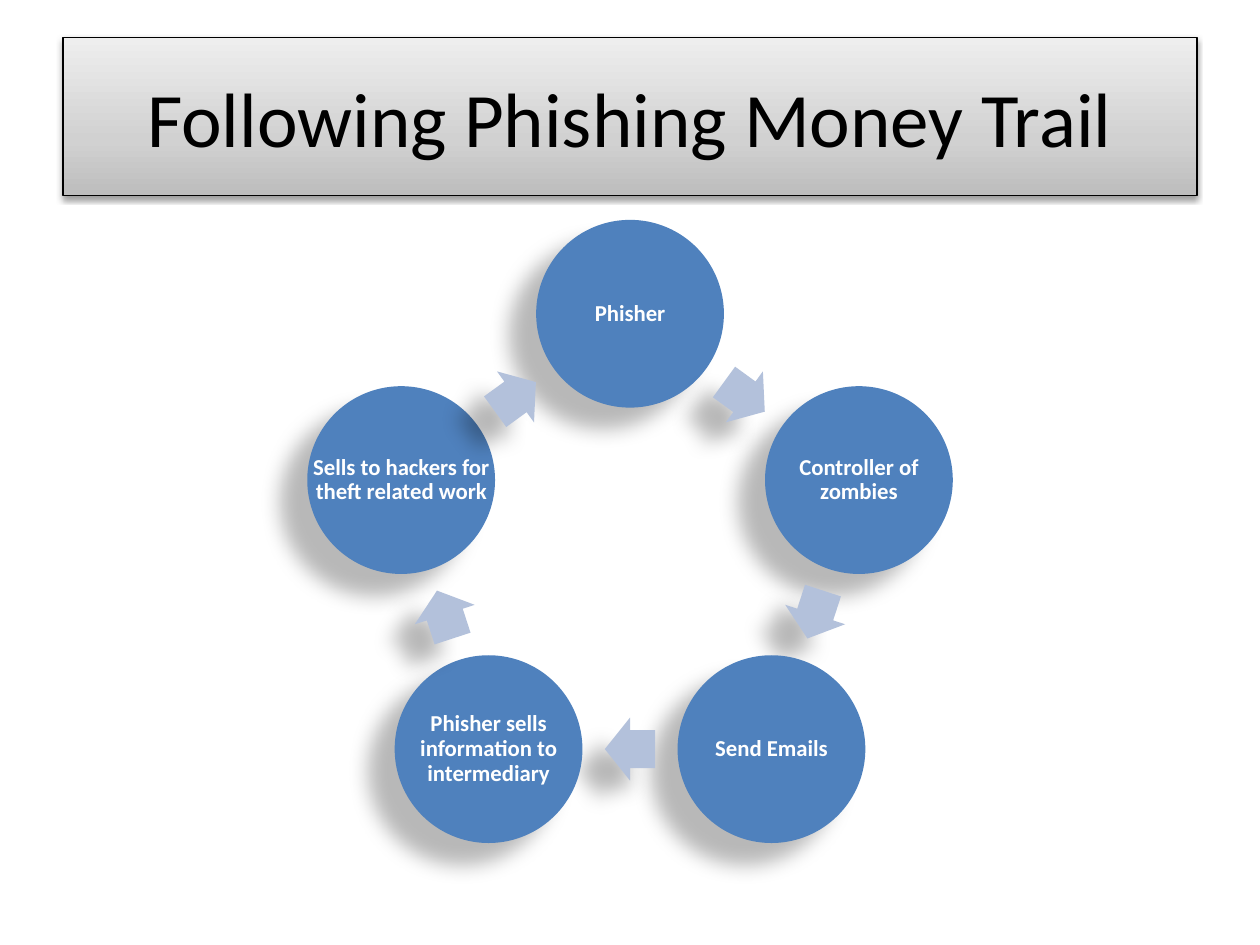
from copy import deepcopy
from math import cos, radians, sin

from lxml.etree import SubElement
from pptx import Presentation
from pptx.dml.color import RGBColor
from pptx.enum.shapes import MSO_SHAPE
from pptx.enum.text import MSO_ANCHOR, PP_ALIGN
from pptx.oxml.ns import qn
from pptx.util import Inches, Pt

TITLE = "Following Phishing Money Trail"
STAGES = [
    "Phisher",
    "Controller of zombies",
    "Send Emails",
    "Phisher sells information to intermediary",
    "Sells to hackers for theft related work",
]
COLORS = {"ink": "000000", "paper": "FFFFFF", "stage": "4F81BD", "arrow": "B3C1DB"}
TITLE_GRADIENT = [(0, "BDBDBD"), (35, "D1D1D1"), (100, "EEEEEE")]
TITLE_SHADOW = {"alpha": 38, "blur": 3.1, "distance": 1.6, "angle": 90}
CYCLE_SHADOW = {"alpha": 28, "blur": 11.8, "distance": 19.7, "angle": 141}

WIDTH, HEIGHT = 10, 7.5
MARGIN = WIDTH * 0.05
TITLE_TOP, TITLE_HEIGHT = HEIGHT * 0.04, HEIGHT / 6
CENTER_X, CENTER_Y, RADIUS = WIDTH / 2, 4.4, 1.91
STAGE_SIZE = 1.49
ARROW_LENGTH, ARROW_BREADTH = 0.4, 0.5


def box_around(x, y, width, height):
    """Return left, top, width and height of a box centred on x, y."""
    return [Inches(n) for n in (x - width / 2, y - height / 2, width, height)]


def ring_point(step):
    """Return the point reached after step stages, clockwise from the top."""
    angle = radians(step * 360 / len(STAGES))
    return CENTER_X + RADIUS * sin(angle), CENTER_Y - RADIUS * cos(angle)


def add_shadow(shape, alpha, blur, distance, angle):
    """Give the shape a soft black outer shadow."""
    shape.shadow.inherit = False
    effects = shape._element.spPr.find(qn("a:effectLst"))
    outer = SubElement(effects, qn("a:outerShdw"), blurRad=str(Pt(blur)),
                       dist=str(Pt(distance)), dir=str(angle * 60000),
                       algn="ctr", rotWithShape="0")
    color = SubElement(outer, qn("a:srgbClr"), val=COLORS["ink"])
    SubElement(color, qn("a:alpha"), val=str(alpha * 1000))


def fill_gradient(shape, stops):
    """Fill the shape with a vertical gradient, first stop at the bottom."""
    shape.fill.gradient()
    shape.fill.gradient_angle = 90
    stop_list = shape._element.spPr.find(qn("a:gradFill")).find(qn("a:gsLst"))
    for _ in stops[len(stop_list):]:
        stop_list.append(deepcopy(stop_list[0]))
    for stop, (position, color) in zip(shape.fill.gradient_stops, stops):
        stop.position = position / 100
        stop.color.rgb = RGBColor.from_string(color)


def write_text(shape, text, size, color, bold=False, spacing=1.0, inset=0.1):
    """Write centred, wrapped text in the shape."""
    frame = shape.text_frame
    frame.word_wrap = True
    frame.vertical_anchor = MSO_ANCHOR.MIDDLE
    frame.margin_left = frame.margin_right = Inches(inset)
    frame.margin_top = frame.margin_bottom = Inches(min(inset, 0.05))
    paragraph = frame.paragraphs[0]
    paragraph.alignment = PP_ALIGN.CENTER
    paragraph.line_spacing = spacing
    run = paragraph.add_run()
    run.text = text
    run.font.name, run.font.size, run.font.bold = "Calibri", Pt(size), bold
    run.font.color.rgb = RGBColor.from_string(COLORS[color])


def add_cycle_shape(cycle, kind, box, color):
    """Add a plain, shadowed shape to the cycle."""
    shape = cycle.shapes.add_shape(kind, *box)
    shape.fill.solid()
    shape.fill.fore_color.rgb = RGBColor.from_string(COLORS[color])
    shape.line.fill.background()
    add_shadow(shape, **CYCLE_SHADOW)
    return shape


def add_title(slide):
    """Add the title banner."""
    banner = slide.shapes.add_shape(
        MSO_SHAPE.RECTANGLE, Inches(MARGIN), Inches(TITLE_TOP),
        Inches(WIDTH - 2 * MARGIN), Inches(TITLE_HEIGHT))
    fill_gradient(banner, TITLE_GRADIENT)
    banner.line.color.rgb = RGBColor.from_string(COLORS["ink"])
    banner.line.width = Pt(0.75)
    add_shadow(banner, **TITLE_SHADOW)
    write_text(banner, TITLE, size=44, color="ink")


def add_cycle(slide):
    """Add the ring of stages, each followed by an arrow to the next."""
    cycle = slide.shapes.add_group_shape()
    for step, stage in enumerate(STAGES):
        (x, y), (next_x, next_y) = ring_point(step), ring_point(step + 1)
        stage_box = box_around(x, y, STAGE_SIZE, STAGE_SIZE)
        add_cycle_shape(cycle, MSO_SHAPE.OVAL, stage_box, "stage")
        label = cycle.shapes.add_textbox(*stage_box)
        write_text(label, stage, size=13, color="paper", bold=True,
                   spacing=0.9, inset=0.02)
        arrow_box = box_around((x + next_x) / 2, (y + next_y) / 2,
                               ARROW_LENGTH, ARROW_BREADTH)
        arrow = add_cycle_shape(cycle, MSO_SHAPE.RIGHT_ARROW, arrow_box, "arrow")
        arrow.adjustments[0], arrow.adjustments[1] = 0.6, 0.5
        arrow.rotation = (step + 0.5) * 360 / len(STAGES)


deck = Presentation()
deck.slide_width, deck.slide_height = Inches(WIDTH), Inches(HEIGHT)
trail = deck.slides.add_slide(deck.slide_layouts[6])
add_title(trail)
add_cycle(trail)
deck.save("out.pptx")
